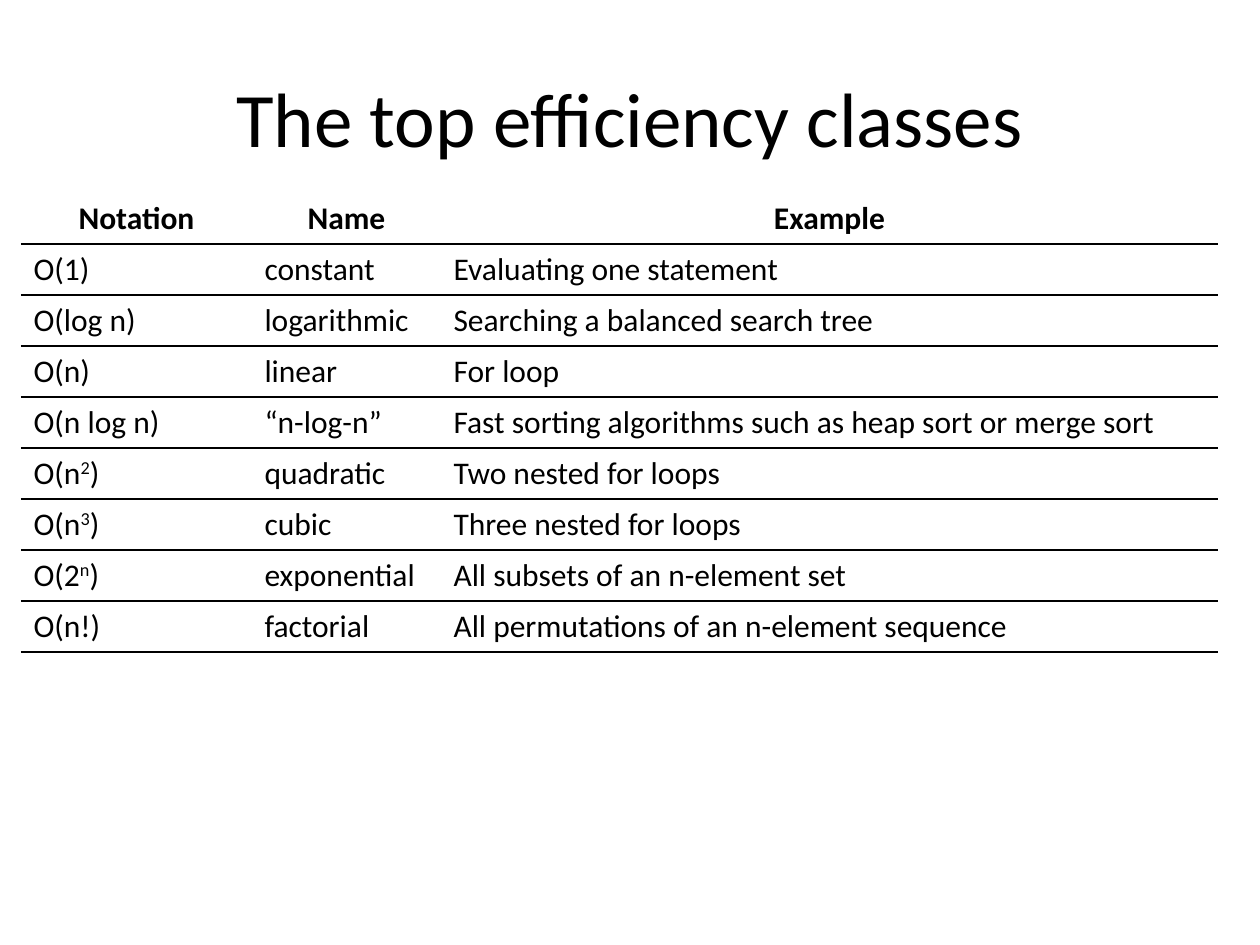
from lxml import etree
from pptx import Presentation
from pptx.dml.color import RGBColor
from pptx.enum.text import MSO_ANCHOR, PP_ALIGN
from pptx.oxml.ns import qn
from pptx.util import Emu, Pt

LEFT, CENTER = PP_ALIGN.LEFT, PP_ALIGN.CENTER
MIDDLE = MSO_ANCHOR.MIDDLE
EMU_PER_PX = 914400 / 126
COLORS = {"text": "000000", "rule": "000000"}
FONT = "Calibri"
PLAIN_TABLE_STYLE = "{2D5ABB26-0587-4C30-8999-92F81FD0307C}"
SUPERSCRIPT_MARK = "^"

COLUMN_WIDTHS = [231, 189, 777]
ROW_HEIGHT = 51
ROWS = [
    ("Notation", "Name", "Example"),
    ("O(1)", "constant", "Evaluating one statement"),
    ("O(log n)", "logarithmic", "Searching a balanced search tree"),
    ("O(n)", "linear", "For loop"),
    ("O(n log n)", "“n-log-n”", "Fast sorting algorithms such as heap sort or merge sort"),
    ("O(n^2^)", "quadratic", "Two nested for loops"),
    ("O(n^3^)", "cubic", "Three nested for loops"),
    ("O(2^n^)", "exponential", "All subsets of an n-element set"),
    ("O(n!)", "factorial", "All permutations of an n-element sequence"),
]


def px(length):
    return Emu(round(length * EMU_PER_PX))


def write_text(text_frame, text, size=18, bold=False, align=LEFT, color="text"):
    paragraph = text_frame.paragraphs[0]
    paragraph.alignment = align
    for index, part in enumerate(text.split(SUPERSCRIPT_MARK)):
        run = paragraph.add_run()
        run.text = part
        run.font.name = FONT
        run.font.size = Pt(size)
        run.font.bold = bold
        run.font.color.rgb = RGBColor.from_string(COLORS[color])
        if index % 2:
            run.font._element.set("baseline", "30000")


def add_title(slide, text, left, top, width, height):
    shape = slide.shapes.add_textbox(px(left), px(top), px(width), px(height))
    shape.text_frame.word_wrap = True
    shape.text_frame.vertical_anchor = MIDDLE
    write_text(shape.text_frame, text, size=44, align=CENTER)


def set_borders(cell, ruled_sides):
    properties = cell._tc.get_or_add_tcPr()
    for position, side in enumerate("LRTB"):
        line = etree.Element(qn(f"a:ln{side}"), w=str(Pt(1)))
        if side in ruled_sides:
            fill = etree.SubElement(line, qn("a:solidFill"))
            etree.SubElement(fill, qn("a:srgbClr"), val=COLORS["rule"])
        else:
            etree.SubElement(line, qn("a:noFill"))
        properties.insert(position, line)


def add_ruled_table(slide, rows, left, top):
    frame = slide.shapes.add_table(
        len(rows), len(COLUMN_WIDTHS), px(left), px(top),
        px(sum(COLUMN_WIDTHS)), px(ROW_HEIGHT * len(rows)))
    table = frame.table
    table._tbl.tblPr.find(qn("a:tableStyleId")).text = PLAIN_TABLE_STYLE
    table.horz_banding = False
    for column, width in zip(table.columns, COLUMN_WIDTHS):
        column.width = px(width)
    for row_index, texts in enumerate(rows):
        is_header = row_index == 0
        table.rows[row_index].height = px(ROW_HEIGHT)
        for column_index, text in enumerate(texts):
            cell = table.cell(row_index, column_index)
            cell.fill.background()
            set_borders(cell, "B" if is_header else "TB")
            write_text(cell.text_frame, text, bold=is_header,
                       align=CENTER if is_header else LEFT)


def main():
    presentation = Presentation()
    presentation.slide_width, presentation.slide_height = px(1260), px(945)
    slide = presentation.slides.add_slide(presentation.slide_layouts[6])
    add_title(slide, "The top efficiency classes", 63, 38, 1134, 157)
    add_ruled_table(slide, ROWS, 21, 193)
    presentation.save("out.pptx")


if __name__ == "__main__":
    main()
